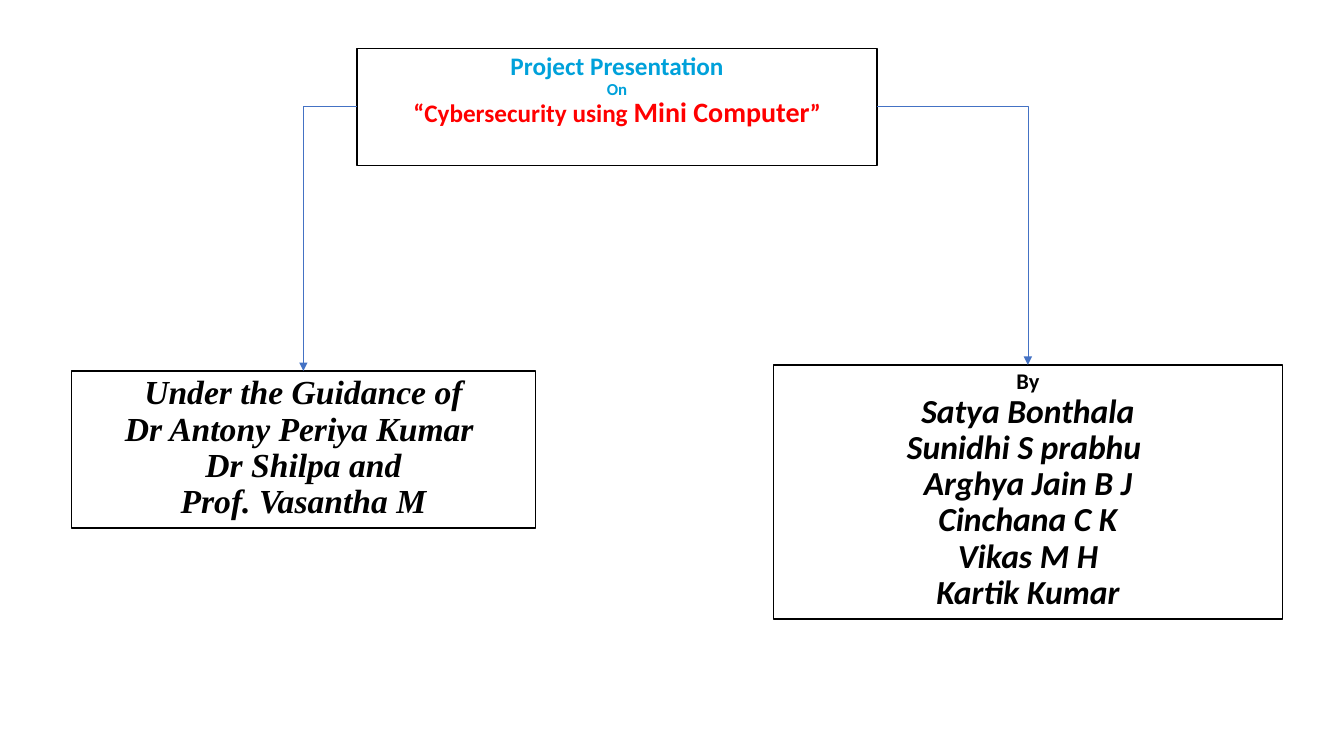
from lxml import etree
from pptx import Presentation
from pptx.dml.color import RGBColor
from pptx.enum.shapes import MSO_CONNECTOR, MSO_SHAPE
from pptx.enum.text import MSO_ANCHOR, PP_ALIGN
from pptx.oxml.ns import qn
from pptx.util import Inches, Pt

RECT = MSO_SHAPE.RECTANGLE
ELBOW = MSO_CONNECTOR.ELBOW
TOP = MSO_ANCHOR.TOP
CENTER = PP_ALIGN.CENTER
TOP_SIDE, LEFT_SIDE, RIGHT_SIDE = 0, 1, 3

BLACK = RGBColor(0x00, 0x00, 0x00)
WHITE = RGBColor(0xFF, 0xFF, 0xFF)
CYAN = RGBColor(0x00, 0xA1, 0xDA)
RED = RGBColor(0xFF, 0x00, 0x00)
BLUE = RGBColor(0x44, 0x72, 0xC4)


class TitleSlide:
    """Draws framed text boxes and elbow arrows on one slide."""

    def __init__(self, prs):
        self.s = prs.slides.add_slide(prs.slide_layouts[6])

    def box(self, left, top, width, height):
        sp = self.s.shapes.add_shape(
            RECT, Inches(left), Inches(top), Inches(width), Inches(height))
        sp.shadow.inherit = False
        sp.fill.solid()
        sp.fill.fore_color.rgb = WHITE
        sp.line.color.rgb = BLACK
        sp.line.width = Pt(1)
        sp.text_frame.word_wrap = True
        sp.text_frame.vertical_anchor = TOP
        return sp

    def line(self, sp, text, size, color=BLACK, font="Calibri", italic=False):
        tf = sp.text_frame
        p = tf.add_paragraph() if tf.text else tf.paragraphs[0]
        p.alignment = CENTER
        p.line_spacing = 0.9
        p.font.name = font
        p.font.size = Pt(size)
        p.font.bold = True
        p.font.italic = italic
        p.font.color.rgb = color
        p.add_run().text = text
        return p

    def arrow(self, start, side, end):
        c = self.s.shapes.add_connector(ELBOW, 0, 0, 0, 0)
        c.begin_connect(start, side)
        c.end_connect(end, TOP_SIDE)
        c.line.color.rgb = BLUE
        c.line.width = Pt(0.5)
        pr = c._element.spPr
        pr.find(qn("a:prstGeom")).set("prst", "bentConnector2")
        etree.SubElement(pr.find(qn("a:ln")), qn("a:tailEnd"), type="triangle")
        etree.SubElement(pr, qn("a:effectLst"))


def main():
    prs = Presentation()
    prs.slide_width = Inches(13.33)
    prs.slide_height = Inches(7.5)
    slide = TitleSlide(prs)

    guides = slide.box(0.71, 3.68, 4.6, 1.56)
    for text in ("Under the Guidance of", "Dr Antony Periya Kumar ",
                 "Dr Shilpa and", "Prof. Vasantha M"):
        slide.line(guides, text, 24, font="Times New Roman", italic=True)

    authors = slide.box(7.67, 3.62, 5.05, 2.52)
    slide.line(authors, "By", 16)
    for text in ("Satya Bonthala", "Sunidhi S prabhu ", "Arghya Jain B J",
                 "Cinchana C K", "Vikas M H", "Kartik Kumar"):
        slide.line(authors, text, 24, italic=True)

    title = slide.box(3.54, 0.48, 5.16, 1.16)
    slide.line(title, "Project Presentation", 18, CYAN)
    slide.line(title, "On", 12, CYAN)
    p = slide.line(title, "“Cybersecurity using ", 18, RED)
    r = p.add_run()
    r.text = "Mini Computer"
    r.font.size = Pt(20)
    p.add_run().text = "”"

    slide.arrow(title, LEFT_SIDE, guides)
    slide.arrow(title, RIGHT_SIDE, authors)
    prs.save("out.pptx")


if __name__ == "__main__":
    main()
